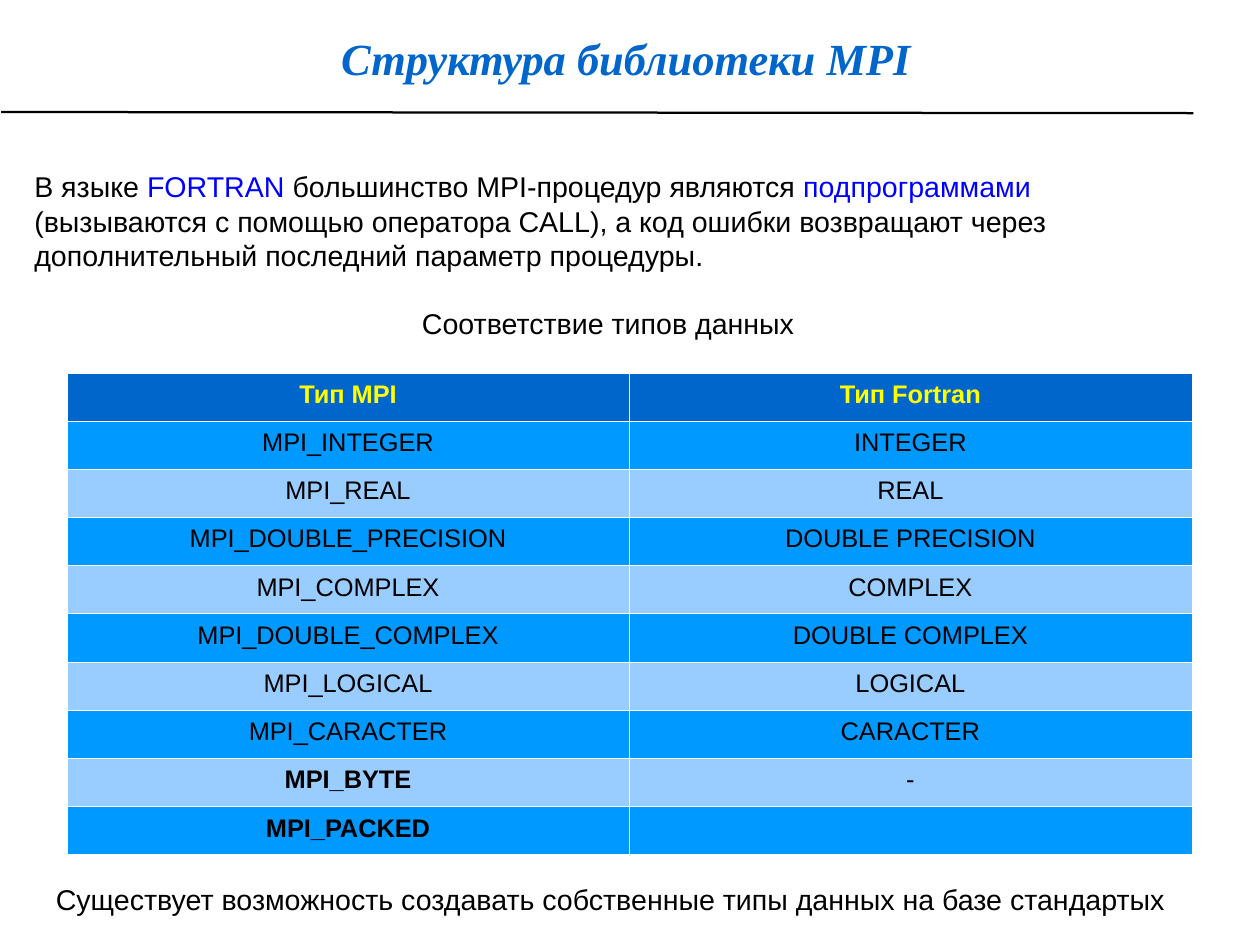
"""Build the slide on MPI data types in Fortran."""
from lxml.etree import SubElement
from pptx import Presentation
from pptx.dml.color import RGBColor
from pptx.enum.shapes import MSO_CONNECTOR
from pptx.enum.text import MSO_ANCHOR, MSO_AUTO_SIZE, PP_ALIGN
from pptx.oxml.ns import qn
from pptx.util import Inches, Pt

CM_PER_INCH = 2.54
BLACK = RGBColor(0x00, 0x00, 0x00)
WHITE = RGBColor(0xFF, 0xFF, 0xFF)
YELLOW = RGBColor(0xFF, 0xFF, 0x00)
KEYWORD_BLUE = RGBColor(0x00, 0x00, 0xFF)
DEEP_BLUE = RGBColor(0x00, 0x66, 0xCC)
BAND_BLUES = (RGBColor(0x99, 0xCC, 0xFF), RGBColor(0x00, 0x99, 0xFF))

INTRO = (
    ("В языке ", BLACK),
    ("FORTRAN", KEYWORD_BLUE),
    (" большинство MPI-процедур являются ", BLACK),
    ("подпрограммами", KEYWORD_BLUE),
    (" (вызываются с помощью оператора CALL), а код ошибки возвращают через "
     "дополнительный последний параметр процедуры.", BLACK),
)
DATA_TYPES = (
    ("Тип MPI", "Тип Fortran"),
    ("MPI_INTEGER", "INTEGER"),
    ("MPI_REAL", "REAL"),
    ("MPI_DOUBLE_PRECISION", "DOUBLE PRECISION"),
    ("MPI_COMPLEX", "COMPLEX"),
    ("MPI_DOUBLE_COMPLEX", "DOUBLE COMPLEX"),
    ("MPI_LOGICAL", "LOGICAL"),
    ("MPI_CARACTER", "CARACTER"),
    ("MPI_BYTE", "-"),
    ("MPI_PACKED", ""),
)
BOLD_TYPES = ("MPI_BYTE", "MPI_PACKED")


def place(shape, left, top, width, height):
    """Move and size a shape, in inches."""
    shape.left, shape.top = Inches(left), Inches(top)
    shape.width, shape.height = Inches(width), Inches(height)


def set_font(font, size, color=BLACK, name="Arial", bold=False, italic=False):
    """Set the look of a font."""
    font.size, font.name = Pt(size), name
    font.bold, font.italic = bold, italic
    font.color.rgb = color


def fill_title(title):
    """Write the slide title."""
    place(title, 0, 0, 10.83, 0.82)
    frame = title.text_frame
    frame.auto_size = MSO_AUTO_SIZE.NONE
    frame.vertical_anchor = MSO_ANCHOR.MIDDLE
    frame.margin_left, frame.margin_top = Inches(0.12), Inches(0.19)
    frame.margin_right = frame.margin_bottom = 0
    frame.text = "Структура библиотеки MPI"
    heading = frame.paragraphs[0]
    heading.alignment = PP_ALIGN.CENTER
    set_font(heading.font, 28, DEEP_BLUE, "Times New Roman", True, True)


def add_rule(slide):
    """Draw the line under the title."""
    rule = slide.shapes.add_connector(
        MSO_CONNECTOR.STRAIGHT,
        Inches(0.01), Inches(0.98), Inches(10.44), Inches(0.99))
    rule.line.color.rgb = BLACK
    rule.line.width = Pt(1.42)
    SubElement(rule._element.spPr, qn("a:effectLst"))


def fill_body(body):
    """Write the introduction and the table caption."""
    place(body, 0.2, 1.14, 10.24, 1.78)
    frame = body.text_frame
    frame.auto_size = MSO_AUTO_SIZE.NONE
    frame.vertical_anchor = MSO_ANCHOR.TOP
    frame.margin_top = Inches(0.34)
    intro, caption = frame.paragraphs[0], frame.add_paragraph()
    for paragraph in (intro, caption):
        properties = paragraph._p.get_or_add_pPr()
        properties.set("marL", "0")
        properties.set("indent", "0")
        SubElement(properties, qn("a:buNone"))
        paragraph.space_before = Pt(0)
        set_font(paragraph.font, 18)
    for text, color in INTRO:
        run = intro.add_run()
        run.text = text
        run.font.color.rgb = color
    caption.text = "Соответствие типов данных"
    caption.alignment = PP_ALIGN.CENTER
    caption.space_before = Pt(21.5)


def set_borders(cell):
    """Give a cell thin white borders."""
    properties = cell._tc.get_or_add_tcPr()
    for side in ("lnL", "lnR", "lnT", "lnB"):
        border = SubElement(properties, qn(f"a:{side}"), w="762")
        color = SubElement(SubElement(border, qn("a:solidFill")), qn("a:srgbClr"))
        color.set("val", str(WHITE))


def add_type_table(slide):
    """Add the table that matches MPI types to Fortran types."""
    types = slide.shapes.add_table(
        len(DATA_TYPES), 2,
        Inches(0.59), Inches(3.26), Inches(9.84), Inches(4.22)).table
    types.first_row = types.horz_banding = False
    types.columns[0].width, types.columns[1].width = Inches(4.91), Inches(4.93)
    for row, names in enumerate(DATA_TYPES):
        header = row == 0
        for column, name in enumerate(names):
            cell = types.cell(row, column)
            set_borders(cell)
            cell.fill.solid()
            cell.fill.fore_color.rgb = DEEP_BLUE if header else BAND_BLUES[row % 2]
            cell.vertical_anchor = MSO_ANCHOR.MIDDLE
            cell.text = name
            label = cell.text_frame.paragraphs[0]
            label.alignment = PP_ALIGN.CENTER
            label.line_spacing = 0.79
            set_font(label.font, 16, YELLOW if header else BLACK,
                     bold=header or name in BOLD_TYPES)


def add_closing_note(slide):
    """Add the sentence below the table."""
    note = slide.shapes.add_textbox(
        Inches(0.39), Inches(7.67), Inches(10.04), Inches(0.4))
    frame = note.text_frame
    frame.word_wrap = False
    frame.text = ("Существует возможность создавать собственные типы данных "
                  "на базе стандартых")
    set_font(frame.paragraphs[0].font, 18)


def main():
    """Build and save the slide."""
    deck = Presentation()
    deck.slide_width = Inches(28 / CM_PER_INCH)
    deck.slide_height = Inches(21 / CM_PER_INCH)
    slide = deck.slides.add_slide(deck.slide_layouts[1])
    fill_title(slide.shapes.title)
    add_rule(slide)
    fill_body(slide.placeholders[1])
    add_type_table(slide)
    add_closing_note(slide)
    deck.save("out.pptx")


if __name__ == "__main__":
    main()
